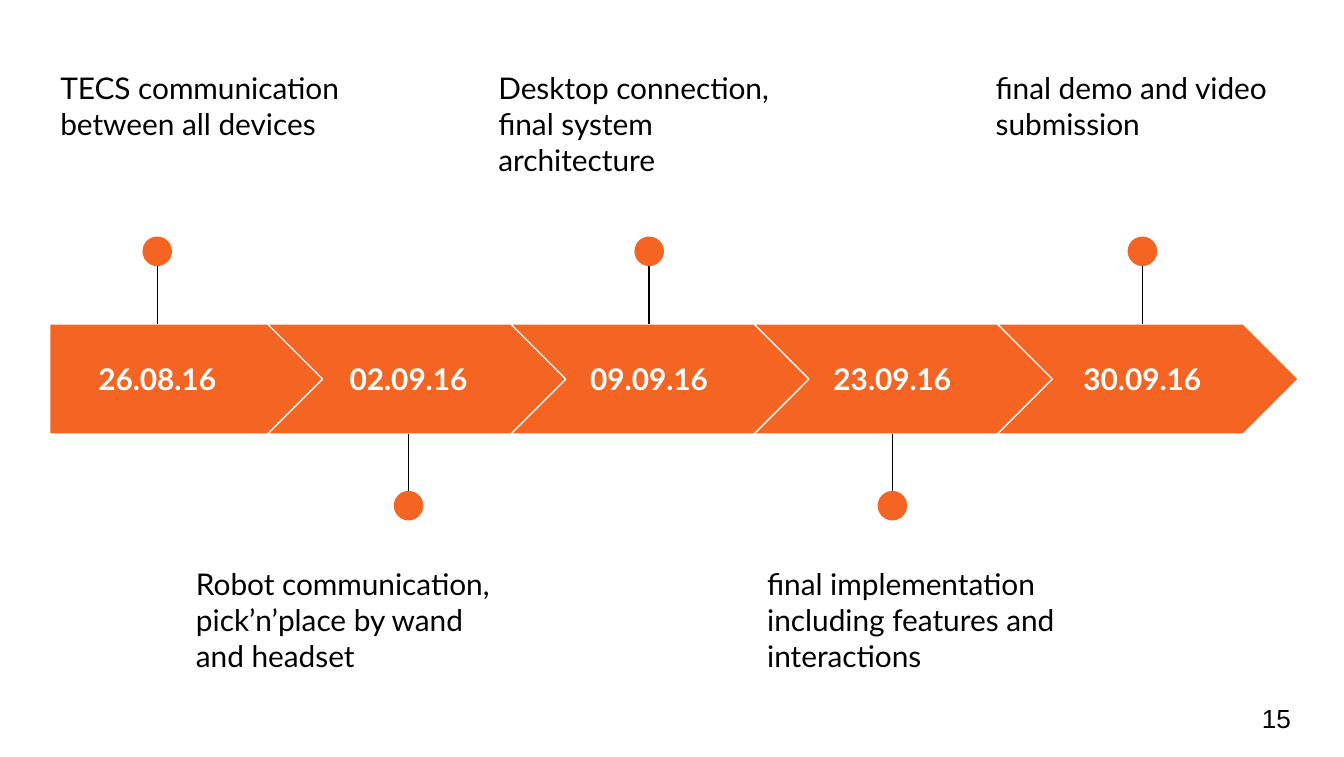
from typing import NamedTuple
from lxml.etree import SubElement
from pptx import Presentation
from pptx.dml.color import RGBColor
from pptx.enum.shapes import MSO_CONNECTOR, MSO_SHAPE
from pptx.enum.text import MSO_ANCHOR, PP_ALIGN
from pptx.oxml.ns import qn
from pptx.util import Inches, Pt

COLORS = {"accent": "F46524", "white": "FFFFFF", "black": "000000"}

deck = Presentation()
deck.slide_width, deck.slide_height = Inches(10), Inches(5.63)
slide = deck.slides.add_slide(deck.slide_layouts[6])
shapes = slide.shapes

BAR_TOP, BAR_HIGH = 42.8, 14.56
STEP, FIRST, WIDE = 18.1, 3.7, 22.4
DOT_WIDE, DOT_HIGH = 2.2, 3.91


class Stage(NamedTuple):
    date: str
    note: str
    center: float
    left: float


class Side(NamedTuple):
    bar: float
    dot: float
    note: float


SIDES = [
    Side(bar=BAR_TOP, dot=33.2, note=7.46),
    Side(bar=BAR_TOP + BAR_HIGH, dot=66.8, note=73),
]

STAGES = [
    Stage("26.08.16", "TECS communication between all devices", 11.7, 3.5),
    Stage("02.09.16", "Robot communication, pick’n’place by wand and headset", 30.4, 13.6),
    Stage("09.09.16", "Desktop connection, final system architecture", 48.3, 36.1),
    Stage("23.09.16", "final implementation including features and interactions", 66.4, 56.1),
    Stage("30.09.16", "final demo and video submission", 85, 73.1),
]


def col(share: float) -> int:
    return round(deck.slide_width * share / 100)


def row(share: float) -> int:
    return round(deck.slide_height * share / 100)


def tint(name: str) -> RGBColor:
    return RGBColor.from_string(COLORS[name])


def write(text: str, left: float, top: float, wide: float, high: float, *,
          size: float = 16, font: str = "Lato", color: str = "black",
          bold: bool = False, align: PP_ALIGN = PP_ALIGN.LEFT,
          anchor: MSO_ANCHOR = MSO_ANCHOR.TOP) -> None:
    frame = shapes.add_textbox(col(left), row(top), col(wide), row(high)).text_frame
    frame.word_wrap = True
    frame.vertical_anchor = anchor
    frame.margin_left = frame.margin_right = Inches(0.1)
    frame.margin_top = frame.margin_bottom = Inches(0.1)
    para = frame.paragraphs[0]
    para.alignment = align
    run = para.add_run()
    run.text = text
    run.font.size, run.font.name, run.font.bold = Pt(size), font, bold
    run.font.color.rgb = tint(color)


def draw(kind: MSO_SHAPE, left: float, top: float, wide: float, high: float,
         edge: str = "") -> None:
    shape = shapes.add_shape(kind, col(left), row(top), col(wide), row(high))
    shape.shadow.inherit = False
    shape.fill.solid()
    shape.fill.fore_color.rgb = tint("accent")
    if edge:
        shape.line.color.rgb = tint(edge)
        shape.line.width = Pt(0.75)
    else:
        shape.line.fill.background()


def pin(center: float, side: Side) -> None:
    line = shapes.add_connector(MSO_CONNECTOR.STRAIGHT, col(center), row(side.dot),
                                col(center), row(side.bar))
    line.line.color.rgb = tint("black")
    line.line.width = Pt(0.75)
    SubElement(line._element.spPr, qn("a:effectLst"))
    draw(MSO_SHAPE.OVAL, center - DOT_WIDE / 2, side.dot - DOT_HIGH / 2,
         DOT_WIDE, DOT_HIGH)


def build(index: int, stage: Stage) -> None:
    side = SIDES[index % 2]
    if index:
        draw(MSO_SHAPE.CHEVRON, 19.9 + STEP * (index - 1), BAR_TOP, WIDE, BAR_HIGH, "white")
    else:
        draw(MSO_SHAPE.PENTAGON, FIRST, BAR_TOP, 20.5, BAR_HIGH, "white")
    write(stage.date, stage.center - 7.2, 45.5, 14.4, 9.06, color="white", bold=True,
          align=PP_ALIGN.CENTER, anchor=MSO_ANCHOR.MIDDLE)
    pin(stage.center, side)
    write(stage.note, stage.left, side.note, 24.5, 17.6)


for index, stage in enumerate(STAGES):
    build(index, stage)
write("15", 92.9, 91.1, 6, 7.64, size=14, font="Arial", anchor=MSO_ANCHOR.MIDDLE)

deck.save("out.pptx")
